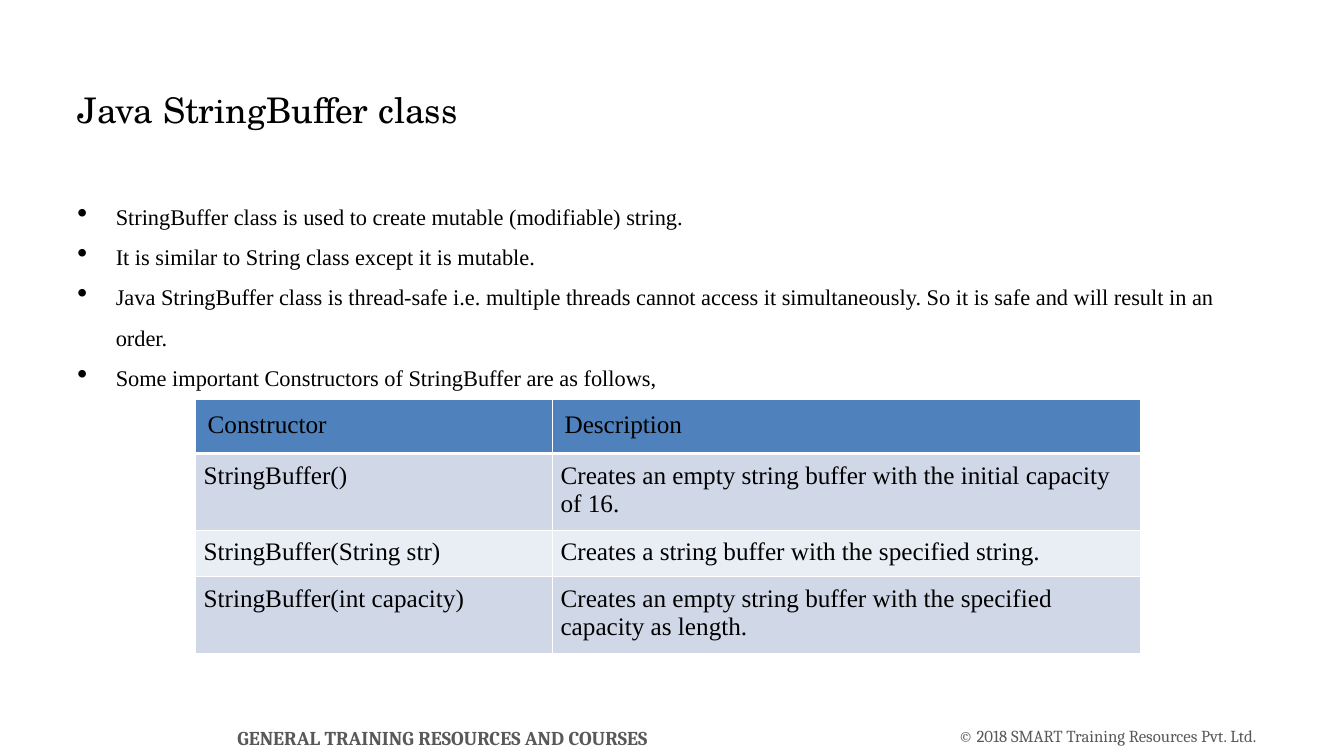
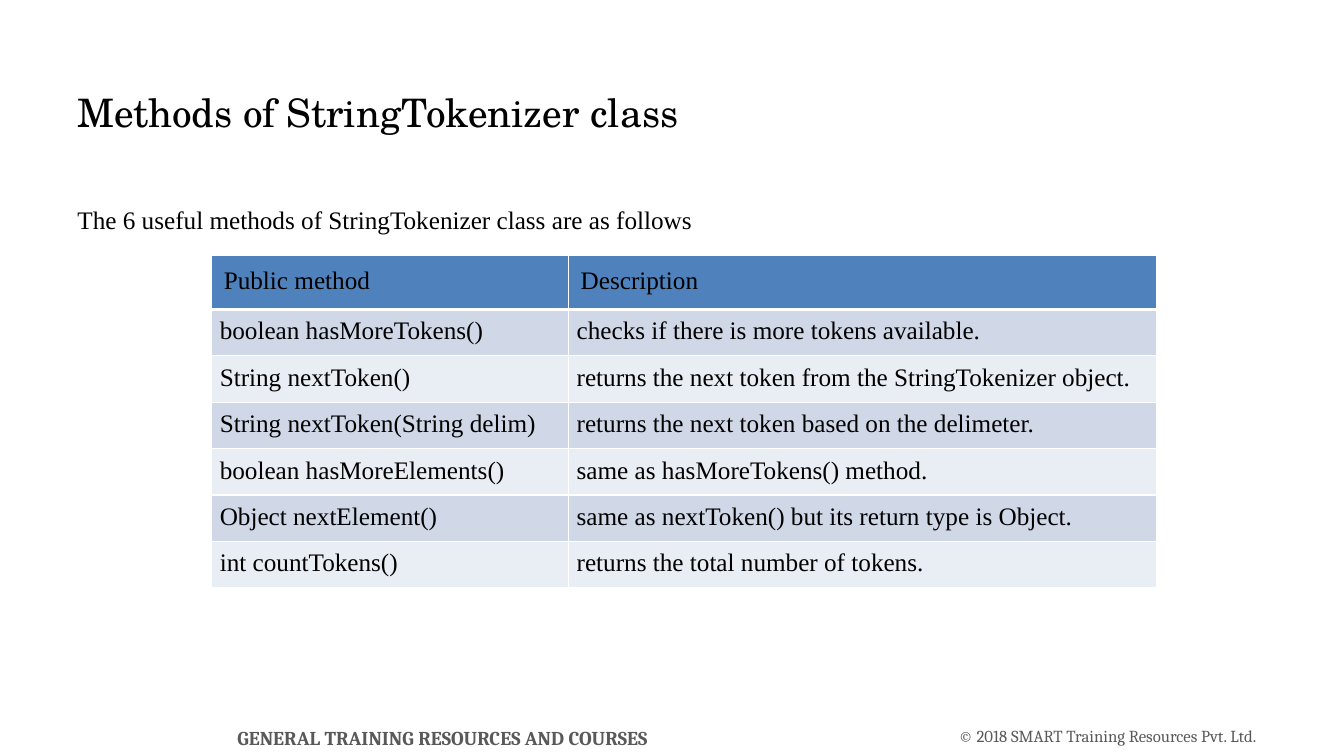
from lxml.etree import SubElement
from pptx import Presentation
from pptx.dml.color import RGBColor
from pptx.enum.text import MSO_ANCHOR as Anchor, PP_ALIGN as Align
from pptx.oxml.ns import qn
from pptx.util import Inches, Pt

BLACK = RGBColor(0x00, 0x00, 0x00)
WHITE = RGBColor(0xFF, 0xFF, 0xFF)
GREY = RGBColor(0x59, 0x59, 0x59)
HEADER_BLUE = RGBColor(0x4F, 0x81, 0xBD)
ROW_BLUES = (RGBColor(0xD0, 0xD8, 0xE8), RGBColor(0xE9, 0xED, 0xF4))
TITLE_FONT, BODY_FONT, FOOTER_FONT = "TeX Gyre Schola", "Times New Roman", "Cambria"


class Lesson:
    """Builds slides that share one title, body, table and footer style."""

    left, width = 0.67, 12
    column_widths = (3.54, 5.83)
    row_height = 0.41

    def __init__(self):
        self.deck = Presentation()
        self.deck.slide_width, self.deck.slide_height = Inches(13.33), Inches(7.5)
        self.slide = None

    def add_slide(self, title, title_size):
        self.slide = self.deck.slides.add_slide(self.deck.slide_layouts[6])
        self.add_footer("GENERAL TRAINING RESOURCES AND COURSES", 1.11, 6.56, 0.24, 14, bold=True)
        self.add_footer("© 2018 SMART Training Resources Pvt. Ltd.", 9.39, 3.19, 0.2, 12, wrap=False)
        frame = self.add_text(title, self.left, 0.83, self.width, 1)
        self.style(frame.paragraphs[0], TITLE_FONT, title_size)

    def add_text(self, text, left, top, width, height):
        box = self.slide.shapes.add_textbox(Inches(left), Inches(top), Inches(width), Inches(height))
        frame = box.text_frame
        frame.word_wrap = True
        frame.text = text
        return frame

    def style(self, para, font, size, color=BLACK, bold=False):
        for span in para.runs:
            span.font.name, span.font.size, span.font.bold = font, Pt(size), bold
            span.font.color.rgb = color

    def add_footer(self, text, left, width, height, size, bold=False, wrap=True):
        frame = self.add_text(text, left, 7.2, width, height)
        frame.word_wrap = wrap
        frame.vertical_anchor = Anchor.MIDDLE
        frame.margin_left = frame.margin_right = frame.margin_top = frame.margin_bottom = 0
        para = frame.paragraphs[0]
        para.alignment = Align.CENTER
        self.style(para, FOOTER_FONT, size, GREY, bold)

    def add_body(self, lines, size, bulleted=False):
        frame = self.add_text("\n".join(lines), self.left, 1.83, self.width, 4.7)
        for para in frame.paragraphs:
            if bulleted:
                self.add_bullet(para)
            para.line_spacing = 1.5
            self.style(para, BODY_FONT, size)

    def add_bullet(self, para):
        properties = para._p.get_or_add_pPr()
        indent = Inches(0.38)
        properties.set("marL", str(indent))
        properties.set("indent", str(-indent))
        SubElement(properties, qn("a:buSzPct"), val="130000")
        SubElement(properties, qn("a:buChar"), char="•")

    def add_table(self, rows, left, top):
        shape = self.slide.shapes.add_table(
            len(rows), len(self.column_widths), Inches(left), Inches(top),
            Inches(sum(self.column_widths)), Inches(self.row_height * len(rows)))
        table = shape.table
        for column, width in zip(table.columns, self.column_widths):
            column.width = Inches(width)
        for row_index, row in enumerate(rows):
            table.rows[row_index].height = Inches(self.row_height)
            for column_index, text in enumerate(row):
                self.fill_cell(table.cell(row_index, column_index), text, row_index)

    def fill_cell(self, cell, text, row_index):
        is_header = row_index == 0
        cell.text = text
        margin = Inches(0.12 if is_header else 0.08)
        cell.margin_left = cell.margin_right = cell.margin_top = cell.margin_bottom = margin
        self.style(cell.text_frame.paragraphs[0], BODY_FONT, 18)
        self.add_borders(cell, 3 if is_header else 1)
        cell.fill.solid()
        cell.fill.fore_color.rgb = HEADER_BLUE if is_header else ROW_BLUES[(row_index - 1) % 2]

    def add_borders(self, cell, bottom):
        properties = cell._tc.get_or_add_tcPr()
        for side, points in (("L", 1), ("R", 1), ("T", 1), ("B", bottom)):
            line = SubElement(properties, qn(f"a:ln{side}"), w=str(Pt(points)))
            SubElement(SubElement(line, qn("a:solidFill")), qn("a:srgbClr"), val=str(WHITE))


def main():
    lesson = Lesson()

    lesson.add_slide("Java StringBuffer class", 25.2)
    lesson.add_body([
        "StringBuffer class is used to create mutable (modifiable) string.",
        "It is similar to String class except it is mutable.",
        "Java StringBuffer class is thread-safe i.e. multiple threads cannot access it "
        "simultaneously. So it is safe and will result in an order.",
        "Some important Constructors of StringBuffer are as follows,",
    ], 16, bulleted=True)
    lesson.add_table([
        ("Constructor", "Description"),
        ("StringBuffer()", "Creates an empty string buffer with the initial capacity of 16."),
        ("StringBuffer(String str)", "Creates a string buffer with the specified string."),
        ("StringBuffer(int capacity)",
         "Creates an empty string buffer with the specified capacity as length."),
    ], 1.94, 3.96)

    lesson.add_slide("Methods of StringTokenizer class", 28)
    lesson.add_body(["The 6 useful methods of StringTokenizer class are as follows"], 18)
    lesson.add_table([
        ("Public method", "Description"),
        ("boolean hasMoreTokens()", "checks if there is more tokens available."),
        ("String nextToken()", "returns the next token from the StringTokenizer object."),
        ("String nextToken(String delim)", "returns the next token based on the delimeter."),
        ("boolean hasMoreElements()", "same as hasMoreTokens() method."),
        ("Object nextElement()", "same as nextToken() but its return type is Object."),
        ("int countTokens()", "returns the total number of tokens."),
    ], 2.1, 2.53)

    lesson.deck.save("out.pptx")


if __name__ == "__main__":
    main()
